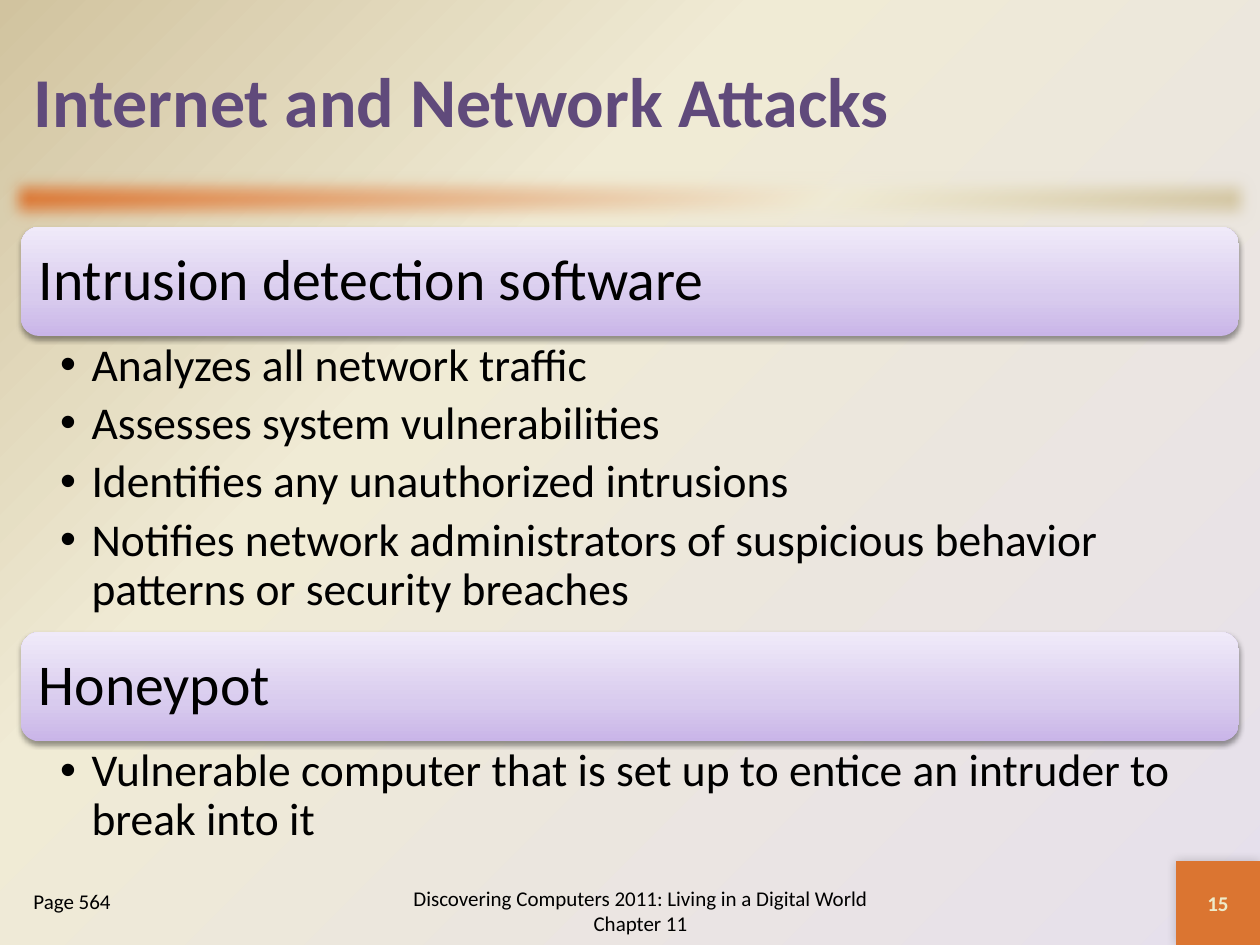
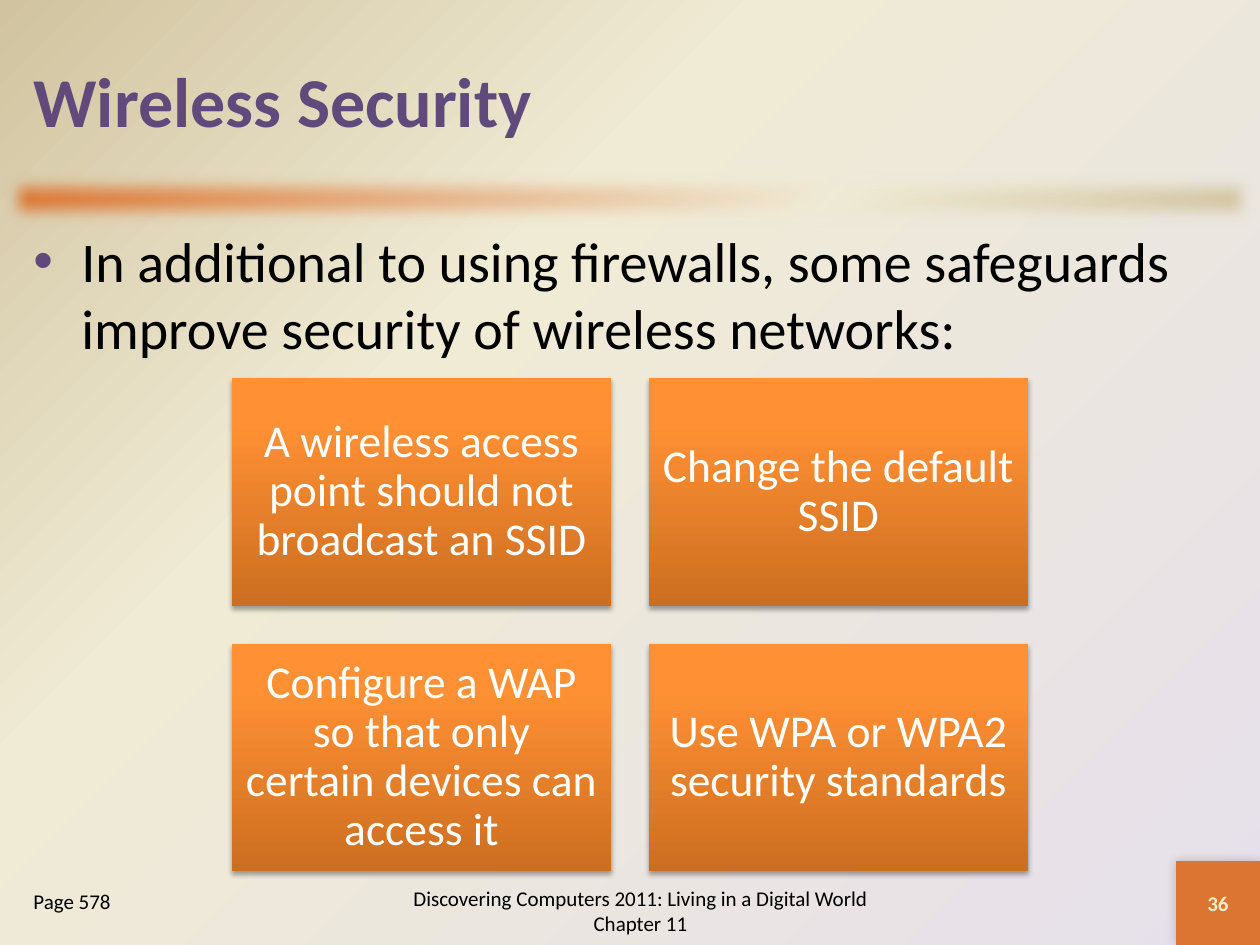
from dataclasses import dataclass

import lxml.etree
import pptx
import pptx.dml.color
import pptx.enum.shapes
import pptx.enum.text
import pptx.oxml.ns
import pptx.util

SLIDE_WIDTH, SLIDE_HEIGHT = pptx.util.Inches(10), pptx.util.Inches(7.5)
COLUMNS, ROWS = 60, 45
FONT = "Calibri"
FOOTER = "Discovering Computers 2011: Living in a Digital World Chapter 11"
COLORS = {
    "title": "604A7B",
    "text": "000000",
    "tile text": "FFFFFF",
    "number": "EEEBCA",
    "accent": "DB7531",
    "shadow": "000000",
    "lilac": "E6E0EC",
    "cream": "F0EBD5",
    "tan": "D1C39F",
    "heading bottom": "C9B5E8",
    "heading middle": "D8CBEE",
    "heading top": "F0EAF9",
    "tile bottom": "CC6E20",
    "tile middle": "FF9034",
    "tile top": "FF9136",
}
LEFT = pptx.enum.text.PP_ALIGN.LEFT
CENTER = pptx.enum.text.PP_ALIGN.CENTER
TOP = pptx.enum.text.MSO_ANCHOR.TOP
MIDDLE = pptx.enum.text.MSO_ANCHOR.MIDDLE
RECTANGLE = pptx.enum.shapes.MSO_SHAPE.RECTANGLE
ROUNDED = pptx.enum.shapes.MSO_SHAPE.ROUNDED_RECTANGLE


@dataclass(frozen=True)
class Area:
    """A rectangle in columns and rows of the slide grid."""
    column: float
    row: float
    columns: float
    rows: float

    def lengths(self) -> tuple[int, int, int, int]:
        across, down = SLIDE_WIDTH / COLUMNS, SLIDE_HEIGHT / ROWS
        return (round(self.column * across), round(self.row * down),
                round(self.columns * across), round(self.rows * down))


@dataclass(frozen=True)
class Gradient:
    """Stops as (percent, colour name); without an angle it spreads from the lower right corner."""
    stops: tuple[tuple[int, str], ...]
    angle: int | None = None


@dataclass(frozen=True)
class Shadow:
    opacity: int
    blur: float
    distance: float
    direction: int


@dataclass(frozen=True)
class Topic:
    heading: str
    bullets: tuple[str, ...]
    row: float
    bullet_rows: float


BACKGROUND = Gradient(((0, "lilac"), (65, "cream"), (100, "tan")))
BAND = Gradient(((0, "accent"), (65, "cream"), (100, "tan")), 45)
HEADING = Gradient(((0, "heading bottom"), (35, "heading middle"), (100, "heading top")), 270)
TILE = Gradient(((0, "tile bottom"), (80, "tile middle"), (100, "tile top")), 270)
NUMBER_SHADOW = Shadow(20, 6, 0, 225)
HEADING_SHADOW = Shadow(38, 3.1, 1.6, 90)
TILE_SHADOW = Shadow(35, 3.1, 1.8, 90)

HEADING_ROWS = 5.2
TOPICS = (
    Topic("Intrusion detection software", (
        "Analyzes all network traffic",
        "Assesses system vulnerabilities",
        "Identifies any unauthorized intrusions",
        "Notifies network administrators of suspicious behavior patterns or security breaches",
    ), 10.8, 14.1),
    Topic("Honeypot", (
        "Vulnerable computer that is set up to entice an intruder to break into it",
    ), 30.1, 5.4),
)
SAFEGUARDS = (
    "A wireless access point should not broadcast an SSID",
    "Change the default SSID",
    "Configure a WAP so that only certain devices can access it",
    "Use WPA or WPA2 security standards",
)


def add_element(parent, tag: str, **attributes):
    element = lxml.etree.SubElement(parent, pptx.oxml.ns.qn(tag))
    for name, value in attributes.items():
        element.set(name, str(value))
    return element


def apply_gradient(fill, properties, gradient: Gradient) -> None:
    """Replace the fill held in the given properties element by a gradient."""
    fill.solid()
    solid = properties.find(pptx.oxml.ns.qn("a:solidFill"))
    element = add_element(properties, "a:gradFill", rotWithShape=1)
    properties.replace(solid, element)
    stops = add_element(element, "a:gsLst")
    for percent, color in gradient.stops:
        stop = add_element(stops, "a:gs", pos=percent * 1000)
        add_element(stop, "a:srgbClr", val=COLORS[color])
    if gradient.angle is None:
        spread = add_element(element, "a:path", path="circle")
        add_element(spread, "a:fillToRect", l=100000, t=100000)
        add_element(element, "a:tileRect", r=-100000, b=-100000)
    else:
        add_element(element, "a:lin", ang=gradient.angle * 60000, scaled=0)


def effects_of(shape):
    return shape.element.spPr.find(pptx.oxml.ns.qn("a:effectLst"))


def add_shadow(shape, shadow: Shadow) -> None:
    outer = add_element(effects_of(shape), "a:outerShdw",
                        blurRad=pptx.util.Pt(shadow.blur), dist=pptx.util.Pt(shadow.distance),
                        dir=shadow.direction * 60000, rotWithShape=0)
    color = add_element(outer, "a:srgbClr", val=COLORS["shadow"])
    add_element(color, "a:alpha", val=shadow.opacity * 1000)


def add_box(slide, area: Area, fill: Gradient | str, shadow: Shadow | None = None,
            preset=RECTANGLE):
    shape = slide.shapes.add_shape(preset, *area.lengths())
    shape.shadow.inherit = False
    shape.line.fill.background()
    if isinstance(fill, Gradient):
        apply_gradient(shape.fill, shape.element.spPr, fill)
    else:
        shape.fill.solid()
        shape.fill.fore_color.rgb = pptx.dml.color.RGBColor.from_string(COLORS[fill])
    if shadow:
        add_shadow(shape, shadow)
    return shape


def add_bullet(paragraph, indent: float, color: str) -> None:
    properties = paragraph._p.get_or_add_pPr()
    properties.set("marL", str(pptx.util.Inches(indent)))
    properties.set("indent", str(-pptx.util.Inches(indent)))
    bullet_color = add_element(properties, "a:buClr")
    add_element(bullet_color, "a:srgbClr", val=COLORS[color])
    add_element(properties, "a:buFont", typeface="Arial")
    add_element(properties, "a:buChar", char="•")


def write_text(shape, *texts: str, size: float, color: str = "text", bold: bool = False,
               align=LEFT, anchor=MIDDLE, insets: tuple[float, ...] = (0.1, 0.05, 0.1, 0.05),
               line_spacing: float = 1, space_after: float = 0,
               bullet_indent: float = 0, bullet_color: str = "text") -> None:
    """Write one paragraph per text; insets are left, top, right and bottom in inches."""
    frame = shape.text_frame
    frame.word_wrap = True
    frame.auto_size = pptx.enum.text.MSO_AUTO_SIZE.NONE
    frame.vertical_anchor = anchor
    (frame.margin_left, frame.margin_top,
     frame.margin_right, frame.margin_bottom) = map(pptx.util.Inches, insets)
    for index, text in enumerate(texts):
        paragraph = frame.add_paragraph() if index else frame.paragraphs[0]
        if bullet_indent:
            add_bullet(paragraph, bullet_indent, bullet_color)
        paragraph.alignment = align
        paragraph.line_spacing = line_spacing
        paragraph.space_after = pptx.util.Pt(space_after)
        run = paragraph.add_run()
        run.text = text
        run.font.name = FONT
        run.font.size = pptx.util.Pt(size)
        run.font.bold = bold
        run.font.color.rgb = pptx.dml.color.RGBColor.from_string(COLORS[color])


def add_text(slide, area: Area, *texts: str, **text_format) -> None:
    write_text(slide.shapes.add_textbox(*area.lengths()), *texts, **text_format)


def add_titled_slide(presentation, title: str, page: str, number: str):
    """Add a slide with the shared title, band, footer and number."""
    slide = presentation.slides.add_slide(presentation.slide_layouts.get_by_name("Title Only"))
    placeholder = slide.shapes.title
    (placeholder.left, placeholder.top,
     placeholder.width, placeholder.height) = Area(1, 1, 58, 7.5).lengths()
    write_text(placeholder, title, size=40, color="title", bold=True)

    band = add_box(slide, Area(0, 8, 60, 3), BAND)
    add_element(effects_of(band), "a:softEdge", rad=pptx.util.Pt(10))

    number_box = add_box(slide, Area(56, 41, 4, 4), "accent", NUMBER_SHADOW)
    write_text(number_box, number, size=12, color="number", bold=True, align=CENTER)
    add_text(slide, Area(18, 41.7, 25, 3.3), FOOTER, size=12, align=CENTER)
    add_text(slide, Area(1, 42, 11, 3), page, size=12, anchor=TOP)
    return slide


def add_topic(slide, topic: Topic) -> None:
    heading = add_box(slide, Area(1, topic.row, 58, HEADING_ROWS), HEADING,
                      HEADING_SHADOW, ROUNDED)
    write_text(heading, topic.heading, size=33, line_spacing=0.9, insets=(0.1,) * 4)
    add_text(slide, Area(1, topic.row + HEADING_ROWS, 58, topic.bullet_rows), *topic.bullets,
             size=26, anchor=TOP, insets=(0.31, 0.05, 0.26, 0.05),
             line_spacing=0.9, space_after=5.2, bullet_indent=0.25)


def add_safeguards(slide) -> None:
    """Lay the safeguards out as tiles, two to a row."""
    gap, width, height = 1.8, 18.05, 10.85
    for index, safeguard in enumerate(SAFEGUARDS):
        row, column = divmod(index, 2)
        area = Area(11.05 + column * (width + gap), 18 + row * (height + gap), width, height)
        tile = add_box(slide, area, TILE, TILE_SHADOW)
        write_text(tile, safeguard, size=26, color="tile text", align=CENTER,
                   insets=(0.11,) * 4, line_spacing=0.9)


def main() -> None:
    presentation = pptx.Presentation()
    presentation.slide_width, presentation.slide_height = SLIDE_WIDTH, SLIDE_HEIGHT
    master = presentation.slide_master
    background_fill = master.background.fill
    background_fill.solid()
    properties = master.element.find(".//" + pptx.oxml.ns.qn("p:bgPr"))
    apply_gradient(background_fill, properties, BACKGROUND)

    attacks = add_titled_slide(presentation, "Internet and Network Attacks", "Page 564", "15")
    for topic in TOPICS:
        add_topic(attacks, topic)

    wireless = add_titled_slide(presentation, "Wireless Security", "Page 578", "36")
    add_text(wireless, Area(1, 10.5, 58, 7.5),
             "In additional to using firewalls, some safeguards improve security of "
             "wireless networks:",
             size=32, anchor=TOP, bullet_indent=0.38, bullet_color="title")
    add_safeguards(wireless)
    presentation.save("out.pptx")


if __name__ == "__main__":
    main()
